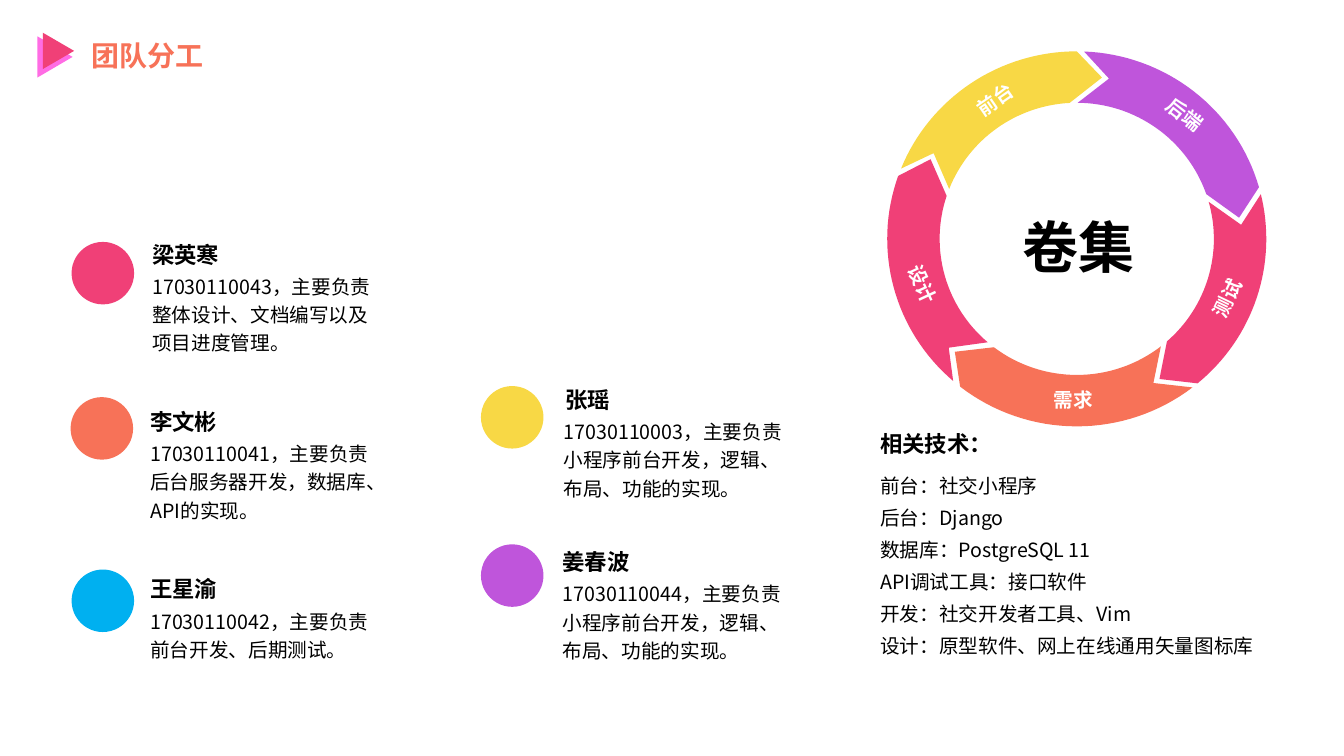
from math import cos, radians, sin
from lxml import etree
from pptx import Presentation
from pptx.dml.color import RGBColor
from pptx.enum.shapes import MSO_SHAPE
from pptx.enum.text import MSO_AUTO_SIZE, PP_ALIGN
from pptx.oxml.ns import qn
from pptx.util import Inches, Pt

OVAL, WEDGE = MSO_SHAPE.OVAL, MSO_SHAPE.ISOSCELES_TRIANGLE
LEFT, CENTER = PP_ALIGN.LEFT, PP_ALIGN.CENTER
GROW = MSO_AUTO_SIZE.SHAPE_TO_FIT_TEXT
SANS = "Noto Sans CJK SC"

COLORS = {
    "coral": "F77258", "pink": "F04077", "neon": "FF6CE4", "gold": "F8D845",
    "plum": "BF55DB", "blue": "00B0F0", "black": "000000", "white": "FFFFFF",
}

FORMATS = {
    "title": {"name": SANS, "size": Pt(20), "bold": True},
    "name": {"name": "Arial", "size": Pt(16), "bold": True},
    "body": {"name": SANS, "size": Pt(14), "bold": False},
    "label": {"name": "Arial", "size": Pt(14), "bold": True},
    "roboto": {"name": "Roboto", "size": Pt(14), "bold": True},
    "center": {"name": "Arial", "size": Pt(40), "bold": True},
}

MARKS = [("neon", 0.34, 0.39, 0.41, 0.35), ("pink", 0.4, 0.35, 0.36, 0.31)]

TEAM = [
    ("梁英寒", "17030110043，主要负责整体设计、文档编写以及项目进度管理。",
     "pink", (0.71, 2.4), (1.51, 2.39), 1.51, 2.32),
    ("李文彬", "17030110041，主要负责后台服务器开发，数据库、API的实现。",
     "coral", (0.7, 3.94), (1.49, 4.05), 1.49, 2.35),
    ("王星渝", "17030110042，主要负责前台开发、后期测试。",
     "blue", (0.71, 5.65), (1.49, 5.71), 1.49, 2.35),
    ("张瑶", "17030110003，主要负责小程序前台开发，逻辑、布局、功能的实现。",
     "gold", (4.77, 3.83), (5.61, 3.83), 5.59, 2.32),
    ("姜春波", "17030110044，主要负责小程序前台开发，逻辑、布局、功能的实现。",
     "plum", (4.77, 5.4), (5.58, 5.44), 5.58, 2.29),
]

TOOLS = [
    "前台：社交小程序",
    "后台：Django",
    "数据库：PostgreSQL 11",
    "API调试工具：接口软件",
    "开发：社交开发者工具、Vim",
    "设计：原型软件、网上在线通用矢量图标库",
]

HUB = (10.68, 2.37)
OUTER, INNER = (1.88, 1.86), (1.36, 1.35)
RING = [
    ("gold", (-68, 0), (10.93, 0.77), (-3, -68.5), (9.26, 1.52)),
    ("plum", (2.2, 74), (12.29, 2.16), (70.8, 0.4), (11, 0.78)),
    ("pink", (76.2, 140.4), (11.5, 3.76), (138.9, 74.2), (12.31, 2.23)),
    ("coral", (142.4, 218), (9.47, 3.49), (217.2, 142.2), (11.44, 3.8)),
    ("pink", (220.7, 289.6), (9.23, 1.58), (288.4, 220.5), (9.41, 3.45)),
]
STEPS = 32

LABELS = [
    ("后端", "roboto", (11.15, 0.97, 1.2, 0.34), 38.3),
    ("测试", "label", (11.55, 2.79, 1.25, 0.34), 295.7),
    ("设计", "label", (8.52, 2.65, 1.25, 0.34), 65),
    ("需求", "label", (10.03, 3.8, 1.23, 0.34), 0),
    ("前台", "label", (9.25, 0.82, 1.25, 0.34), 325.3),
]

deck = Presentation()
deck.slide_width, deck.slide_height = Inches(13.33), Inches(7.5)
slide = deck.slides.add_slide(deck.slide_layouts[6])
shapes = slide.shapes


def paint(shape, color):
    shape.shadow.inherit = False
    shape.fill.solid()
    shape.fill.fore_color.rgb = RGBColor.from_string(COLORS[color])
    shape.line.fill.background()


def write(lines, style, place, color="black", align=LEFT, turn=0, flush=True, pitch=None):
    box = shapes.add_textbox(*map(Inches, place))
    box.rotation = turn
    frame = box.text_frame
    frame.word_wrap, frame.auto_size = True, GROW
    if flush:
        for side in ("left", "right", "top", "bottom"):
            setattr(frame, "margin_" + side, 0)
    for i, line in enumerate(lines):
        para = frame.paragraphs[0] if i == 0 else frame.add_paragraph()
        para.alignment = align
        if pitch:
            para.line_spacing = pitch
        if i:
            para.space_before = Pt(2.8)
        run = para.add_run()
        run.text = line
        for key, value in FORMATS[style].items():
            setattr(run.font, key, value)
        run.font.color.rgb = RGBColor.from_string(COLORS[color])
        etree.SubElement(run.font._element, qn("a:ea"), typeface=SANS)


def arc(radius, span):
    start, end = span
    for i in range(STEPS + 1):
        turn = radians(start + (end - start) * i / STEPS)
        yield HUB[0] + radius[0] * sin(turn), HUB[1] - radius[1] * cos(turn)


write(["团队分工"], "title", (0.81, 0.33, 2.22, 0.44), "coral", flush=False)

for color, *place in MARKS:
    mark = shapes.add_shape(WEDGE, *map(Inches, place))
    mark.rotation = 90
    paint(mark, color)

for color, rim, tip, core, notch in RING:
    dots = [*arc(OUTER, rim), tip, *arc(INNER, core), notch]
    dots = [(Inches(x), Inches(y)) for x, y in dots]
    build = shapes.build_freeform(*dots[0])
    build.add_line_segments(dots[1:], close=True)
    paint(build.convert_to_shape(), color)

for text, style, place, turn in LABELS:
    write([text], style, place, "white", CENTER, turn, False)
write(["卷集"], "center", (9.66, 2.06, 2.07, 0.77), align=CENTER, flush=False)

for name, task, color, spot, head, left, width in TEAM:
    paint(shapes.add_shape(OVAL, *map(Inches, (*spot, 0.62, 0.62))), color)
    write([name], "name", (*head, 1.68, 0.27))
    write([task], "body", (left, head[1] + 0.29, width, 0.82), pitch=1.2)

write(["相关技术："], "name", (8.73, 4.27, 1.51, 0.27))
write(TOOLS, "body", (8.73, 4.65, 4.31, 1.91), pitch=1.2)

deck.save("out.pptx")
